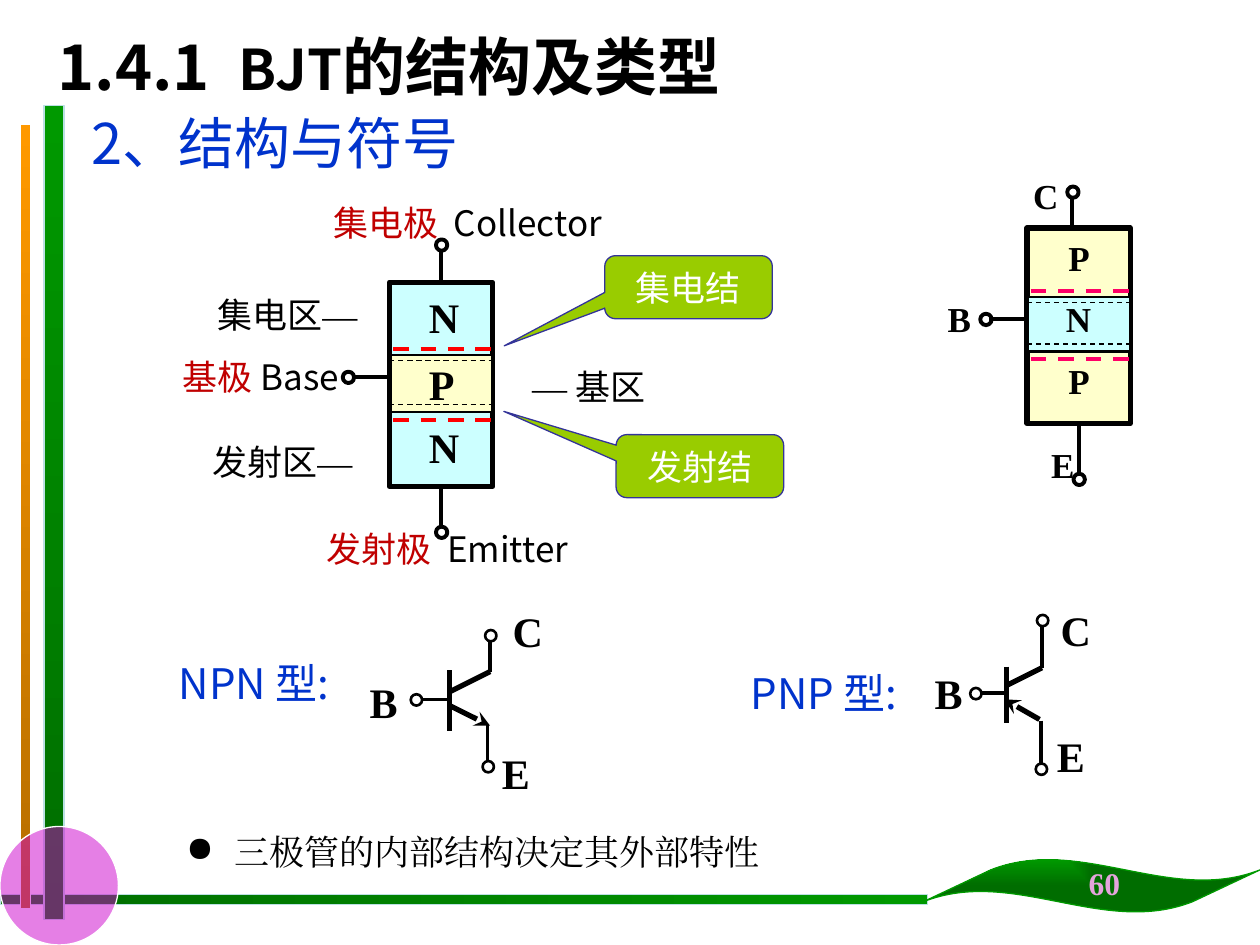
from collections import namedtuple
from dataclasses import dataclass

from lxml import etree
from pptx import Presentation
from pptx import util as u
from pptx.dml.color import RGBColor
from pptx.enum import dml, shapes, text
from pptx.oxml.ns import qn

PX = u.Inches(1) // 100
SHAPE = shapes.MSO_SHAPE
CENTER = text.PP_ALIGN.CENTER
TOP_SIDE, BOTTOM_SIDE = 0, 2
Box = namedtuple("Box", "left top width height")


@dataclass(frozen=True)
class Theme:
    black: str = "000000"
    white: str = "FFFFFF"
    blue: str = "0033CC"
    dark_red: str = "C00000"
    npn_junction: str = "FF0000"
    pnp_junction: str = "FF0066"
    n_type: str = "CCFFFF"
    p_type: str = "FFFFCC"
    callout: str = "99CC00"
    callout_edge: str = "333399"
    green: str = "009900"
    dark_green: str = "006D00"
    orange: str = "FF9900"
    brown: str = "B66D00"
    bar_edge: str = "BBE0E3"
    magenta: str = "CC00CC"
    page_number: str = "E4A4DC"
    sans: str = "Noto Sans CJK SC"
    serif: str = "Times New Roman"
    title: int = 36
    subtitle: int = 32
    symbol: int = 24
    body: int = 20
    number: int = 18


def px(*lengths):
    return [u.Emu(length * PX) for length in lengths]


class SlideBuilder:
    def __init__(self, page, theme):
        self.page, self.theme = page, theme

    def set_font(self, font, size=None, color=None, name=None, bold=None):
        if size:
            font.size = u.Pt(size)
        if color:
            font.color.rgb = RGBColor.from_string(color)
        if bold is not None:
            font.bold = bold
        if name:
            font.name = name
            etree.SubElement(font._element, qn("a:ea"), typeface=name)

    def shape(self, kind, box, fill=None, line=None, weight=0.75, adjust=()):
        shape = self.page.shapes.add_shape(kind, *px(*box))
        shape.shadow.inherit = False
        for index, value in enumerate(adjust):
            shape.adjustments[index] = value
        if fill:
            shape.fill.solid()
            shape.fill.fore_color.rgb = RGBColor.from_string(fill)
        else:
            shape.fill.background()
        shape.line.color.rgb = RGBColor.from_string(line or self.theme.black)
        shape.line.width = u.Pt(weight)
        return shape

    def gradient(self, kind, box, colors, angle, line, weight=0.75, adjust=()):
        shape = self.shape(kind, box, None, line, weight, adjust)
        shape.fill.gradient()
        shape.fill.gradient_angle = angle
        for stop, color in zip(shape.fill.gradient_stops, colors):
            stop.color.rgb = RGBColor.from_string(color)
        return shape

    def terminal(self, x, y, fill=None, weight=2.25):
        """Small circle centred on a point."""
        return self.shape(SHAPE.OVAL, (x - 4, y - 4, 9, 9), fill, None, weight)

    def line(self, start, end, weight=2.25, color=None, dashed=False, arrow=False):
        line = self.page.shapes.add_connector(
            shapes.MSO_CONNECTOR.STRAIGHT, *px(*start, *end))
        line.line.color.rgb = RGBColor.from_string(color or self.theme.black)
        line.line.width = u.Pt(weight)
        if dashed:
            line.line.dash_style = dml.MSO_LINE.DASH
        if arrow:
            etree.SubElement(line.line._get_or_add_ln(), qn("a:tailEnd"), type="stealth")
        etree.SubElement(line._element.spPr, qn("a:effectLst"))
        return line

    def add_words(self, shape, runs, size, color, name=None, bold=False, align=CENTER):
        """Fill a shape with one paragraph; runs are (text, font overrides) pairs."""
        para = shape.text_frame.paragraphs[0]
        para.alignment = align
        self.set_font(para.font, size, color, name, bold)
        for words, overrides in runs:
            span = para.add_run()
            span.text = words
            self.set_font(span.font, **overrides)

    def text(self, box, runs, size, color, name=None, bold=False, align=CENTER,
             wrap=True, middle=False):
        shape = self.page.shapes.add_textbox(*px(*box))
        shape.text_frame.word_wrap = wrap
        if middle:
            shape.text_frame.vertical_anchor = text.MSO_ANCHOR.MIDDLE
        runs = [(runs, {})] if isinstance(runs, str) else runs
        self.add_words(shape, runs, size, color, name, bold, align)
        return shape

    def letter(self, box, letter, size):
        self.text(box, letter, size, self.theme.black, self.theme.serif,
                  bold=True, wrap=False, middle=True)

    def callout(self, box, words, adjust):
        t = self.theme
        shape = self.shape(SHAPE.ROUNDED_RECTANGULAR_CALLOUT, box, t.callout,
                           t.callout_edge, adjust=adjust)
        self.add_words(shape, [(words, {})], t.body, t.white, t.sans)

    def structure(self, body, base, outer, inner, collector, emitter, junction, letters, size):
        """Three doped layers with terminals centred on collector and emitter."""
        block = self.shape(SHAPE.RECTANGLE, body, outer, weight=3)
        top_lead = self.line((collector[0], body.top), (collector[0], collector[1] + 4))
        if collector[0] == body.left + body.width // 2:
            top_lead.begin_connect(block, TOP_SIDE)
        bottom_lead = self.line((emitter[0], body.top + body.height),
                                (emitter[0], emitter[1] - 4))
        bottom_lead.begin_connect(block, BOTTOM_SIDE)
        base_y, base_end = base.top + 17, base.top + base.height
        self.line((base.left, base_y), (base.left - 31, base_y))
        for point in (collector, emitter, (base.left - 34, base_y)):
            self.terminal(*point)
        for y in (base.top - 5, base_end + 6):
            self.line((base.left + 2, y), (base.left + 84, y), color=junction, dashed=True)
        self.shape(SHAPE.RECTANGLE, base, inner, weight=1.25)
        for y in (base.top + 4, base_end - 6):
            self.line((body.left, y), (body.left + 83, y), 0.75, dashed=True)
        for letter, box in letters:
            self.letter(box, letter, size)

    def transistor(self, bar, collector, elbow, emitter, arm, base, letters):
        """Circuit symbol; bar is (x, top, bottom), arm runs towards its arrowhead."""
        x, top, bottom = bar
        middle = (top + bottom) // 2 - 1
        self.line((x, top), (x, bottom), 3)
        self.line((x, middle - 6), elbow, 3)
        self.line(*arm, 3, arrow=True)
        for start, end in (((x, middle), (base, middle)), (elbow, collector),
                           ((emitter[0], elbow[1] + 42), emitter)):
            self.line(start, end, 2)
            self.terminal(*end, self.theme.white, 1.5)
        for letter, box in letters:
            self.letter(box, letter, self.theme.symbol)


def decorate(slide, t):
    bar = SHAPE.RECTANGLE
    slide.gradient(bar, (0, 710, 736, 8), (t.dark_green, t.green), 0, t.bar_edge)
    slide.gradient(bar, (35, 84, 16, 646), (t.green, t.dark_green), 270, t.bar_edge)
    slide.gradient(bar, (16, 99, 8, 622), (t.orange, t.brown), 270, t.white, 0.5)
    circle = slide.shape(SHAPE.OVAL, (0, 656, 94, 94), t.magenta, t.white)
    tint = circle._element.spPr.find(".//" + qn("a:srgbClr"))
    etree.SubElement(tint, qn("a:alpha"), val="50000")
    wave = slide.gradient(SHAPE.WAVE, (733, 682, 267, 42), (t.green, t.dark_green), 0,
                          t.green, adjust=(0.206, -0.1))
    ramp = wave._element.spPr.find(qn("a:gradFill"))
    ramp.remove(ramp.find(qn("a:lin")))
    corner = etree.SubElement(ramp, qn("a:path"), {"path": "rect"})
    etree.SubElement(corner, qn("a:fillToRect"), r="100000", b="100000")


def main():
    deck = Presentation()
    deck.slide_width, deck.slide_height = px(1000, 750)
    t = Theme()
    slide = SlideBuilder(deck.slides.add_slide(deck.slide_layouts[6]), t)
    decorate(slide, t)

    left = text.PP_ALIGN.LEFT
    slide.text((63, 81, 452, 64), "2、结构与符号", t.subtitle, t.blue, t.sans, align=left)

    slide.structure(Box(309, 224, 82, 162), Box(310, 282, 81, 45), t.n_type, t.p_type,
                    (350, 194), (350, 422), t.npn_junction,
                    [("N", (330, 226, 45, 51)), ("P", (330, 279, 41, 51)),
                     ("N", (330, 329, 45, 51))], t.symbol)
    for box, chinese, english in (((232, 414, 246, 43), "发射极  ", "Emitter"),
                                  ((125, 277, 164, 43), "基极 ", "Base"),
                                  ((220, 155, 302, 43), "集电极  ", "Collector")):
        slide.text(box, [(chinese, {"color": t.dark_red}), (english, {"color": t.black})],
                   t.body, None, t.sans, middle=True)
    for box, words in (((397, 285, 141, 43), ("— ", "基区")),
                       ((150, 345, 148, 43), ("发射区", "—")),
                       ((158, 228, 147, 43), ("集电区", "— "))):
        slide.text(box, [(part, {"name": t.serif if "—" in part else t.sans})
                         for part in words], t.body, t.black)

    slide.structure(Box(815, 181, 82, 155), Box(816, 236, 81, 43), t.p_type, t.n_type,
                    (851, 152), (856, 380), t.pnp_junction,
                    [("P", (838, 182, 37, 44)), ("N", (836, 231, 40, 44)),
                     ("P", (838, 280, 37, 44)), ("E", (815, 347, 57, 44)),
                     ("B", (733, 231, 57, 44)), ("C", (810, 133, 40, 44))], t.body)

    for box, words in (((120, 517, 163, 51), "NPN 型:"), ((558, 525, 192, 51), "PNP 型:")):
        slide.text(box, words, t.symbol, t.blue, t.sans)
    slide.transistor((357, 532, 580), (389, 504), (389, 533), (387, 608),
                     ((357, 560), (389, 576)), 330,
                     [("E", (386, 588, 47, 51)), ("C", (397, 475, 32, 51)),
                      ("B", (283, 531, 43, 51))])
    slide.transistor((799, 529, 574), (827, 492), (827, 530), (826, 610),
                     ((825, 571), (797, 555)), 774,
                     [("E", (829, 576, 38, 47)), ("C", (832, 476, 28, 47)),
                      ("B", (732, 526, 38, 47))])

    slide.callout((480, 203, 133, 50), "集电结", (-1.1, 0.93, 0.17))
    slide.callout((489, 345, 133, 50), "发射结", (-1.17, -0.87, 0.17))

    note = slide.text((138, 654, 626, 44), "三极管的内部结构决定其外部特性",
                      t.body, t.black, t.serif, align=left)
    para = note.text_frame.paragraphs[0]
    para.space_before = u.Pt(4)
    props = para._p.get_or_add_pPr()
    props.set("marL", str(38 * PX))
    props.set("indent", str(-38 * PX))
    bullet = etree.Element(qn("a:buChar"), char="●")
    props.find(qn("a:defRPr")).addprevious(bullet)

    slide.text((36, 17, 744, 71), [("1.4.1  ", {}), ("BJT", {"size": t.subtitle}),
                                   ("的结构及类型", {})],
               t.title, t.black, t.sans, bold=True, align=left)
    slide.text((854, 681, 45, 40), "60", t.number, t.page_number, t.serif, bold=True, wrap=False)
    deck.save("out.pptx")


if __name__ == "__main__":
    main()
